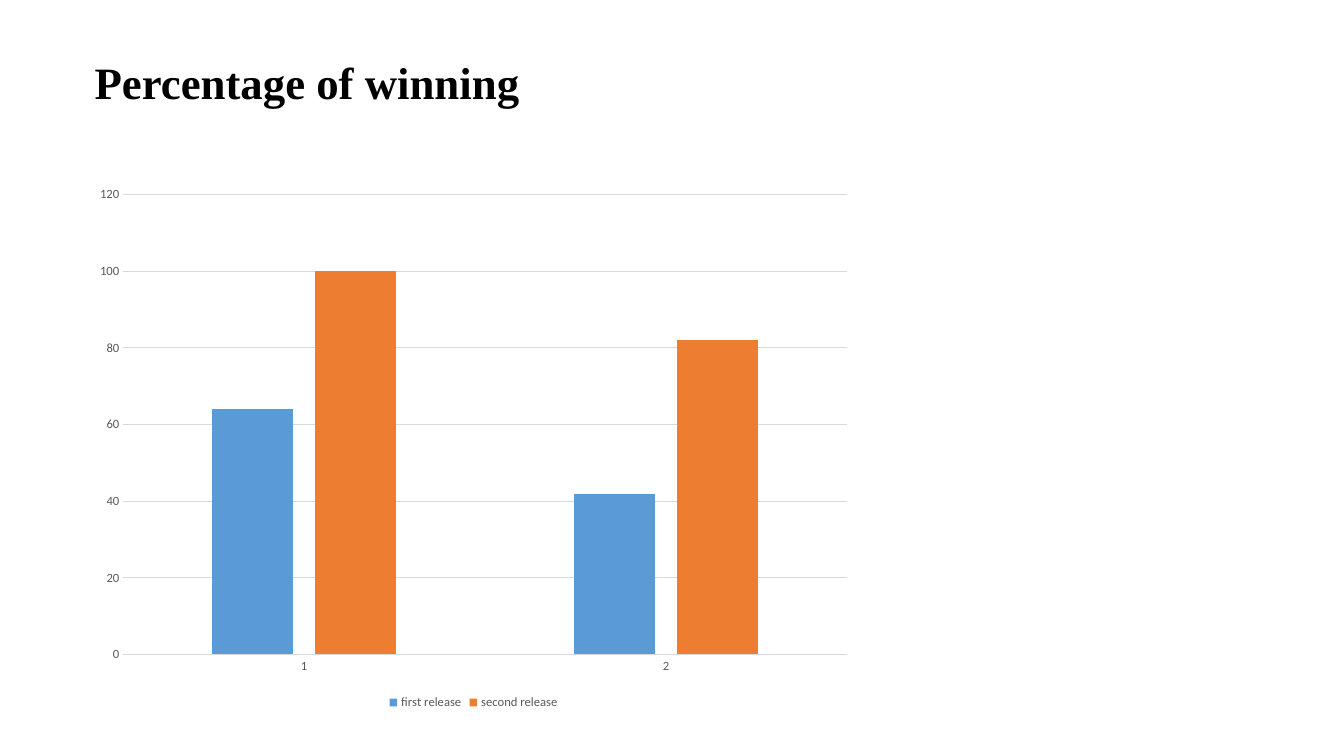
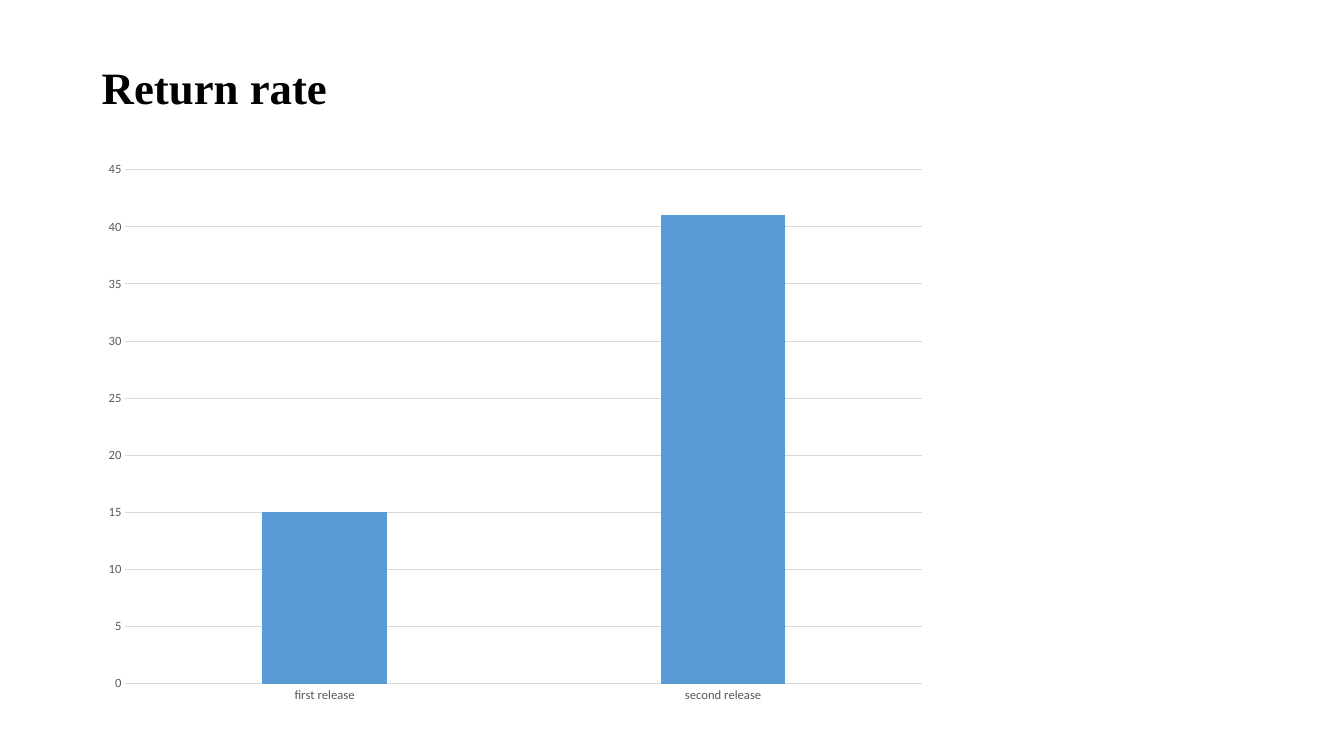
from dataclasses import dataclass

from pptx import Presentation
from pptx.chart.data import CategoryChartData
from pptx.dml.color import RGBColor
from pptx.enum.chart import XL_CHART_TYPE, XL_LEGEND_POSITION, XL_TICK_MARK
from pptx.enum.text import MSO_ANCHOR, MSO_AUTO_SIZE, PP_ALIGN
from pptx.util import Cm, Pt

CLUSTERED = XL_CHART_TYPE.COLUMN_CLUSTERED
LEGEND_BOTTOM = XL_LEGEND_POSITION.BOTTOM
NO_TICK = XL_TICK_MARK.NONE
TOP = MSO_ANCHOR.TOP
GROW = MSO_AUTO_SIZE.SHAPE_TO_FIT_TEXT
LEFT = PP_ALIGN.LEFT
TITLE_ONLY = 5


@dataclass(frozen=True)
class Theme:
    title_font: str = "Times New Roman"
    chart_font: str = "Calibri"
    title_size: float = 32
    label_size: float = 9
    line_width: float = 0.75
    ink: str = "000000"
    label: str = "595959"
    grid: str = "D9D9D9"
    series: tuple = ("5B9BD5", "ED7D31")


def apply(target, formats):
    for name, value in formats.items():
        setattr(target, name, value)


class Deck:
    def __init__(self, theme):
        self.theme = theme
        self.presentation = Presentation()
        apply(self.presentation, {"slide_width": Cm(33.87), "slide_height": Cm(19.05)})
        self.slide = None

    def add_slide(self):
        layout = self.presentation.slide_layouts[TITLE_ONLY]
        self.slide = self.presentation.slides.add_slide(layout)

    def style_font(self, font, family, size, color, bold=False):
        apply(font, {"name": family, "size": Pt(size), "bold": bold})
        font.color.rgb = RGBColor.from_string(color)

    def style_line(self, line):
        line.width = Pt(self.theme.line_width)
        line.color.rgb = RGBColor.from_string(self.theme.grid)

    def title(self, text, left, top):
        heading = self.slide.shapes.title
        apply(heading, {"left": Cm(left), "top": Cm(top),
                        "width": Cm(15.54), "height": Cm(1.63)})
        frame = heading.text_frame
        apply(frame, {"text": text, "word_wrap": True,
                      "vertical_anchor": TOP, "auto_size": GROW})
        paragraph = frame.paragraphs[0]
        paragraph.alignment = LEFT
        self.style_font(paragraph.runs[0].font, self.theme.title_font,
                        self.theme.title_size, self.theme.ink, True)

    def column_chart(self, box, categories, series, maximum, step, legend=False):
        data = CategoryChartData()
        data.categories = categories
        for name, values in series.items():
            data.add_series(name, values)
        area = [Cm(length) for length in box]
        chart = self.slide.shapes.add_chart(CLUSTERED, *area, data).chart
        apply(chart, {"has_title": False, "has_legend": legend})
        self.style_font(chart.font, self.theme.chart_font,
                        self.theme.label_size, self.theme.label)
        if legend:
            apply(chart.legend, {"position": LEGEND_BOTTOM, "include_in_layout": False})
        self.style_columns(chart.plots[0])
        self.style_axes(chart, maximum, step)

    def style_columns(self, plot):
        apply(plot, {"gap_width": 219, "overlap": -27, "vary_by_categories": False})
        for columns, color in zip(plot.series, self.theme.series):
            columns.format.fill.solid()
            columns.format.fill.fore_color.rgb = RGBColor.from_string(color)

    def style_axes(self, chart, maximum, step):
        ticks = {"major_tick_mark": NO_TICK, "minor_tick_mark": NO_TICK}
        apply(chart.category_axis, ticks)
        self.style_line(chart.category_axis.format.line)
        scale = chart.value_axis
        apply(scale, {**ticks, "minimum_scale": 0, "maximum_scale": maximum,
                      "major_unit": step, "has_major_gridlines": True})
        scale.format.line.fill.background()
        self.style_line(scale.major_gridlines.format.line)


deck = Deck(Theme())

deck.add_slide()
deck.title("Percentage of winning", 2.13, 1.24)
winning = {"first release": (64, 42), "second release": (100, 82)}
deck.column_chart((2.13, 4.45, 19.61, 13.54), ("1", "2"), winning, 120, 20, legend=True)

deck.add_slide()
deck.title("Return rate", 2.31, 1.37)
deck.column_chart((2.31, 3.81, 21.36, 14.17), ("first release", "second release"),
                  {"Series 1": (15, 41)}, 45, 5)

deck.presentation.save("out.pptx")
